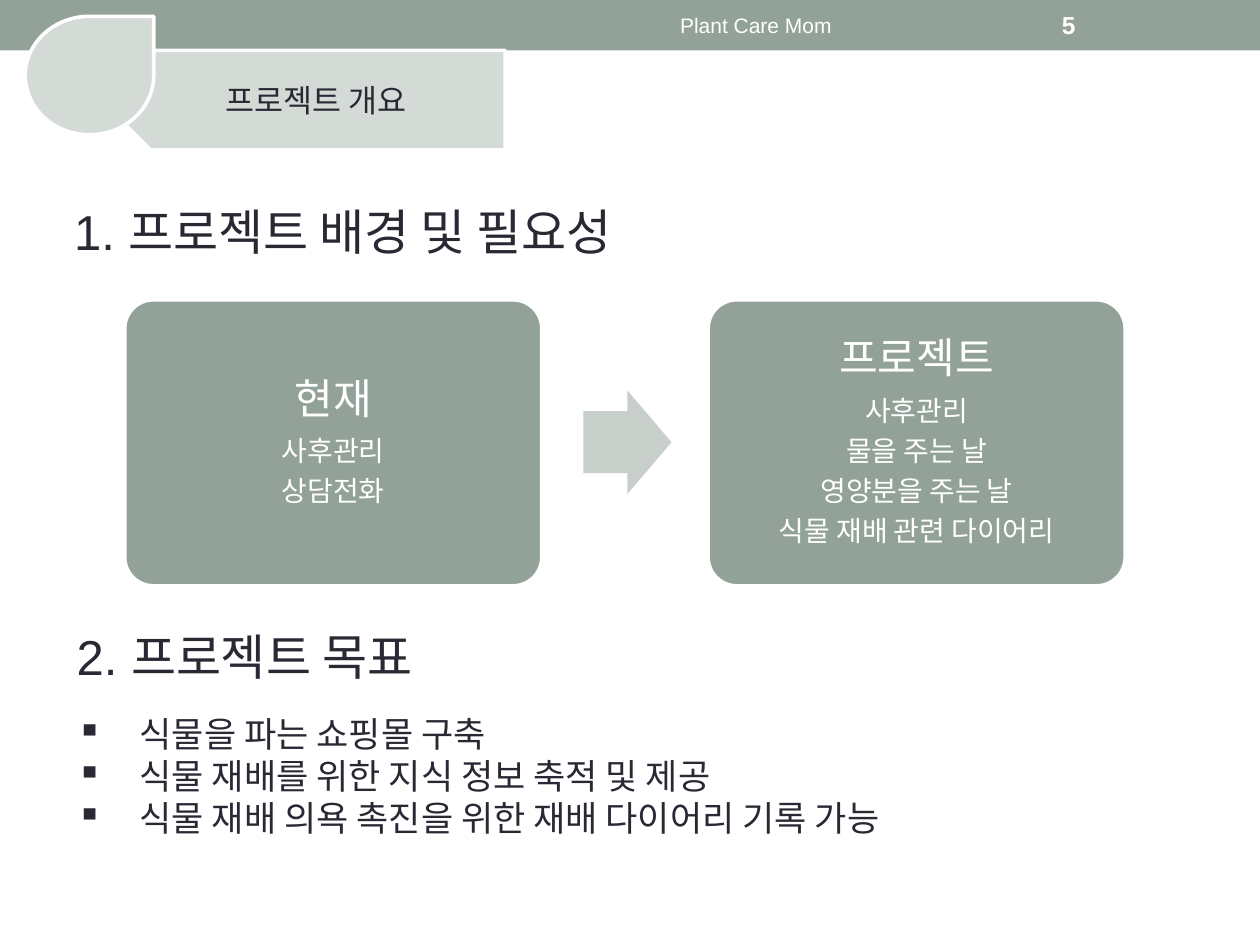
from dataclasses import dataclass

from pptx import Presentation
from pptx import util as u
from pptx.dml import color
from pptx.enum import shapes, text
from pptx.oxml import parse_xml
from pptx.oxml import ns

KIND = shapes.MSO_SHAPE
LEFT, MID = text.PP_ALIGN.LEFT, text.PP_ALIGN.CENTER


@dataclass(frozen=True)
class Theme:
    font: str = "Arial"
    sage: str = "93A299"
    pale: str = "D4DAD6"
    mist: str = "C8CECA"
    white: str = "FFFFFF"
    ink: str = "292934"
    edge: float = 2.08
    head: int = 28
    card: int = 24
    goal: int = 20
    tab: int = 18
    item: int = 16
    page: int = 14
    foot: int = 12


class Deck:
    """Holds the theme and the current slide, and adds elements to it."""

    def __init__(self, theme):
        self.theme = theme
        self.file = Presentation()
        self.file.slide_width = u.Inches(10)
        self.file.slide_height = u.Inches(7.5)
        self.slide = self.file.slides.add_slide(self.file.slide_layouts[5])

    def shape(self, kind, spot, fill, edge=None):
        item = self.slide.shapes.add_shape(kind, *map(u.Inches, spot))
        item.shadow.inherit = False
        item.fill.solid()
        item.fill.fore_color.rgb = color.RGBColor.from_string(fill)
        if edge:
            item.line.color.rgb = color.RGBColor.from_string(edge)
            item.line.width = u.Pt(self.theme.edge)
        else:
            item.line.fill.background()
        return item

    def line(self, frame, words, size, tint, align=LEFT, bold=False):
        para = frame.paragraphs[0]
        if para.runs:
            para = frame.add_paragraph()
        para.alignment = align
        run = para.add_run()
        run.text = words
        font = run.font
        font.name, font.size, font.bold = self.theme.font, u.Pt(size), bold
        font.color.rgb = color.RGBColor.from_string(tint)
        return para

    def box(self, spot, anchor=text.MSO_ANCHOR.TOP, wrap=True):
        frame = self.slide.shapes.add_textbox(*map(u.Inches, spot)).text_frame
        frame.word_wrap = wrap
        frame.vertical_anchor = anchor
        return frame

    def label(self, spot, words, size, align=LEFT, bold=False):
        frame = self.box(spot, text.MSO_ANCHOR.MIDDLE)
        self.line(frame, words, size, self.theme.white, align, bold)

    def title(self, spot, words):
        item = self.slide.shapes.title
        item.left, item.top, item.width, item.height = map(u.Inches, spot)
        frame = item.text_frame
        frame.auto_size = text.MSO_AUTO_SIZE.NONE
        frame.vertical_anchor = text.MSO_ANCHOR.MIDDLE
        self.line(frame, words, self.theme.tab, self.theme.ink, MID)
        item._element.getparent().append(item._element)

    def card(self, spot, head, items):
        look = self.theme
        item = self.shape(KIND.ROUNDED_RECTANGLE, spot, look.sage, look.white)
        item.adjustments[0] = 0.1
        frame = item.text_frame
        frame.word_wrap = True
        frame.vertical_anchor = text.MSO_ANCHOR.MIDDLE
        frame.margin_left = frame.margin_right = u.Inches(0.1)
        frame.margin_top = frame.margin_bottom = u.Inches(0.1)
        rows = [(head, look.card)] + [(words, look.item) for words in items]
        for words, size in rows:
            para = self.line(frame, words, size, look.white, MID)
            para.line_spacing = 0.9
            para.space_after = u.Pt(round(size * 0.35, 1))

    def goals(self, spot, head, items):
        look = self.theme
        frame = self.box(spot)
        para = self.line(frame, head, look.head, look.ink)
        para.space_after = u.Pt(16)
        for words in items:
            para = self.line(frame, words, look.goal, look.ink)
            props = para._p.get_or_add_pPr()
            props.set("marL", str(u.Inches(0.5)))
            props.set("indent", str(u.Inches(-0.5)))
            props.append(parse_xml(f'<a:buChar {ns.nsdecls("a")} char="▪"/>'))


def main():
    look = Theme()
    deck = Deck(look)
    deck.shape(KIND.RECTANGLE, (0, 0, 10, 0.4), look.sage)
    deck.label((3.75, 0.02, 4.5, 0.36), "Plant Care Mom", look.foot, MID)
    deck.label((8.33, 0.02, 1.17, 0.36), "5", look.page, bold=True)

    plate = deck.shape(KIND.PENTAGON, (0.8, 0.4, 3.21, 0.79), look.pale, look.white)
    plate._element.spPr.get_or_add_xfrm().set("flipH", "1")
    deck.shape(KIND.TEAR, (0.2, 0.13, 1.02, 0.94), look.pale, look.white)
    deck.title((1, 0.4, 3.01, 0.79), "프로젝트 개요")

    need = deck.box((0.49, 1.55, 4.98, 0.57), wrap=False)
    deck.line(need, "1. 프로젝트 배경 및 필요성", look.head, look.ink)
    cards = [
        ("현재", ["사후관리", "상담전화"]),
        ("프로젝트", ["사후관리", "물을 주는 날", "영양분을 주는 날",
                  "식물 재배 관련 다이어리"]),
    ]
    for spot, (head, items) in enumerate(cards):
        deck.card((0.99 + spot * 4.63, 2.38, 3.31, 2.27), head, items)
    arrow = deck.shape(KIND.RIGHT_ARROW, (4.63, 3.1, 0.7, 0.82), look.mist)
    arrow.adjustments[0] = 0.6

    deck.goals((0.51, 4.92, 8.9, 1.82), "2. 프로젝트 목표", [
        "식물을 파는 쇼핑몰 구축",
        "식물 재배를 위한 지식 정보 축적 및 제공",
        "식물 재배 의욕 촉진을 위한 재배 다이어리 기록 가능",
    ])
    deck.file.save("out.pptx")


if __name__ == "__main__":
    main()
